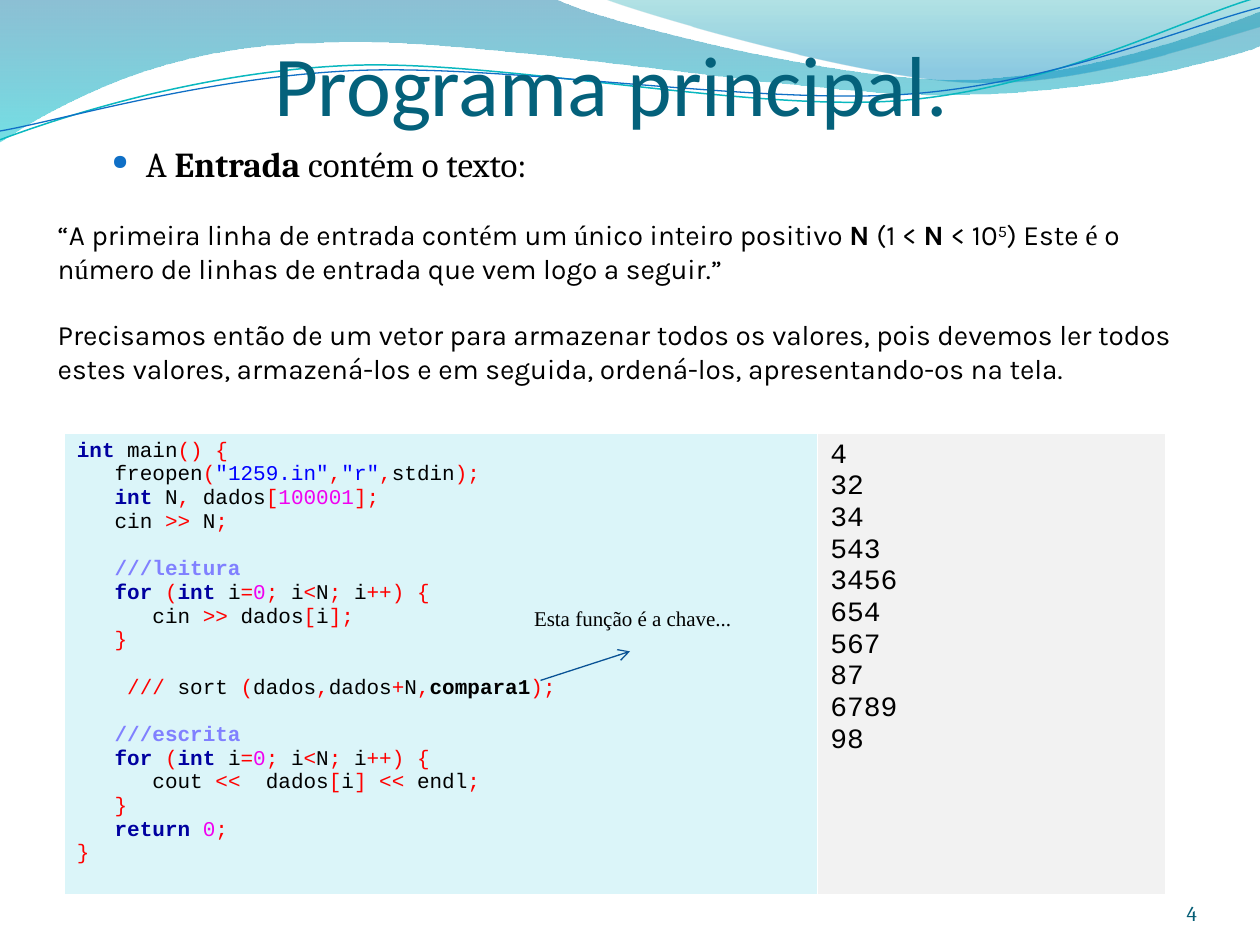
from lxml import etree
from pptx import Presentation
from pptx import util as u
from pptx.dml.color import RGBColor
from pptx.enum import shapes, text
from pptx.oxml import ns

COLORS = {
    "title": "04617B", "number": "045D75", "bullet": "0F6FC6", "arrow": "095295",
    "teal": "0AB8BF", "blue": "0F6FC6", "black": "000000",
    "code_fill": "DBF5F9", "input_fill": "F2F2F2",
}
TOKENS = {
    "keyword": ("0000A0", True), "plain": ("000000", False), "strong": ("000000", True),
    "sign": ("FF0000", False), "string": ("0000FF", False), "number": ("F000F0", False),
    "comment": ("8080FF", True),
}
K, P, B, S, Q, N, C = TOKENS

TOP_WAVE = [(0, -0.01), (4.4, -0.01),
            (4.76, 0.17, 6.64, 0.63, 7.58, 0.63), (8.53, 0.63, 9.58, 0.26, 10, 0.09),
            (10.01, 0.36), (9.83, 0.44, 8.7, 0.76, 7.46, 0.75),
            (6.22, 0.75, 3.82, 0.28, 2.57, 0.34), (1.29, 0.35, 0.46, 0.83, -0.01, 1.13)]
RIGHT_WAVE = [(4.79, -0.01), (5.09, 0.11, 6.82, 0.62, 7.69, 0.65),
              (8.56, 0.69, 9.61, 0.32, 10, 0.21), (10, 0)]
TEAL_CURVE = [(0, 1.11), (0.48, 0.93, 1.58, 0.57, 2.77, 0.52),
              (3.95, 0.47, 5.93, 0.89, 7.13, 0.8), (8.33, 0.71, 9.38, 0.15, 9.98, -0.02)]
BLUE_CURVE = [(0, 1.04), (0.47, 0.96, 1.64, 0.61, 2.83, 0.56),
              (4.03, 0.51, 5.97, 0.83, 7.17, 0.75), (8.36, 0.67, 9.41, 0.21, 10, 0.06)]

FOR_LINE = [(K, "for "), (S, "("), (K, "int "), (P, "i"), (S, "="), (N, "0"), (S, "; "),
            (P, "i"), (S, "<"), (P, "N"), (S, "; "), (P, "i"), (S, "++) {")]
CODE = [
    (0, 0, [(K, "int "), (P, "main"), (S, "() {")]),
    (3, 0, [(P, "freopen"), (S, "("), (Q, '"1259.in"'), (S, ","), (Q, '"r"'), (S, ","),
            (P, "stdin"), (S, ");")]),
    (3, 0, [(K, "int "), (P, "N"), (S, ", "), (P, "dados"), (S, "["), (N, "100001"), (S, "];")]),
    (3, 0, [(P, "cin "), (S, ">> "), (P, "N"), (S, ";")]),
    (3, 1, [(C, "///leitura")]),
    (3, 0, FOR_LINE),
    (6, 0, [(P, "cin "), (S, ">> "), (P, "dados"), (S, "["), (P, "i"), (S, "];")]),
    (3, 0, [(S, "}")]),
    (4, 1, [(S, "/// "), (P, "sort "), (S, "("), (P, "dados"), (S, ","), (P, "dados"),
            (S, "+"), (P, "N"), (S, ","), (B, "compara1"), (S, ");")]),
    (3, 1, [(C, "///escrita")]),
    (3, 0, FOR_LINE),
    (6, 0, [(P, "cout "), (S, "<<  "), (P, "dados"), (S, "["), (P, "i"), (S, "] << "),
            (P, "endl"), (S, ";")]),
    (3, 0, [(S, "}")]),
    (3, 0, [(K, "return "), (N, "0"), (S, ";")]),
    (0, 0, [(S, "}")]),
]
INPUT = "4\n32\n34\n543\n3456\n654\n567\n87\n6789\n98"


def set_values(target, values):
    for name, value in values.items():
        setattr(target, name, value)


def style_font(font, name, size, color, bold=False):
    set_values(font, {"name": name, "size": u.Pt(size), "bold": bold})
    font.color.rgb = RGBColor.from_string(color)


def add_run(paragraph, words, name, size, color, bold=False):
    run = paragraph.add_run()
    run.text = words
    style_font(run.font, name, size, color, bold)
    return run


def add_text(slide, box, margins=(0.1, 0.05, 0.1, 0.05), anchor=text.MSO_ANCHOR.TOP):
    frame = slide.shapes.add_textbox(*map(u.Inches, box)).text_frame
    sides = ("margin_left", "margin_top", "margin_right", "margin_bottom")
    set_values(frame, {"word_wrap": True, "vertical_anchor": anchor,
                       **dict(zip(sides, map(u.Inches, margins)))})
    return frame


def add_outline(slide, box, points, close):
    left, top = box[:2]
    vertices = [(u.Inches(left + x), u.Inches(top + y))
                for point in points for x, y in zip(point[::2], point[1::2])]
    builder = slide.shapes.build_freeform(*vertices[0])
    builder.add_line_segments(vertices[1:], close=close)
    shape = builder.convert_to_shape()
    shape.shadow.inherit = False
    segments = iter(list(shape._element.iter(ns.qn("a:lnTo"))))
    for point in points[1:]:
        first = next(segments)
        if len(point) == 6:
            first.addprevious(curve := etree.Element(ns.qn("a:cubicBezTo")))
            for segment in (first, next(segments), next(segments)):
                curve.append(segment[0])
                segment.getparent().remove(segment)
    return shape


def add_waves(slide, box):
    for points, stops in ((TOP_WAVE, [(0, "0074A1", 45), (1, "00C6CF", 55)]),
                          (RIGHT_WAVE, [(0, "00A1A9", 30), (0.8, "008BBF", 45)])):
        shape = add_outline(slide, box, points, True)
        shape.fill.gradient()
        shape.fill.gradient_angle = 270
        for stop, (position, color, _) in zip(shape.fill.gradient_stops, stops):
            stop.position = position
            stop.color.rgb = RGBColor.from_string(color)
        for element, (_, _, opacity) in zip(shape._element.spPr.iter(ns.qn("a:srgbClr")), stops):
            etree.SubElement(element, ns.qn("a:alpha"), val=str(opacity * 1000))
        shape.line.fill.background()
    for points, color, width in ((TEAL_CURVE, "teal", 0.85), (BLUE_CURVE, "blue", 0.75)):
        shape = add_outline(slide, box, points, False)
        shape.fill.background()
        shape.line.color.rgb = RGBColor.from_string(COLORS[color])
        shape.line.width = u.Pt(width)


def add_label(slide, box, words, name, size, color, alignment, margins, anchor):
    paragraph = add_text(slide, box, margins, anchor).paragraphs[0]
    paragraph.alignment = alignment
    add_run(paragraph, words, name, size, COLORS[color])


def add_body(slide, box):
    frame = add_text(slide, box)
    heading = frame.paragraphs[0]
    heading.space_before = u.Pt(4)
    properties = heading._p.get_or_add_pPr()
    for name, value in {"marL": 0.7, "indent": -0.27}.items():
        properties.set(name, str(u.Inches(value)))
    color = etree.SubElement(properties, ns.qn("a:buClr"))
    etree.SubElement(color, ns.qn("a:srgbClr"), val=COLORS["bullet"])
    etree.SubElement(properties, ns.qn("a:buSzPct"), val="60000")
    etree.SubElement(properties, ns.qn("a:buChar"), char="●")
    for words, bold in (("A ", False), ("Entrada ", True), ("contém o texto:", False)):
        add_run(heading, words, "Cambria", 20, COLORS["black"], bold)

    statement = [("“A primeira linha de entrada cont", ""), ("é", "serif"), ("m um ", ""),
                 ("ú", "serif"), ("nico inteiro positivo ", ""), ("N ", "bold"), ("(1 < ", ""),
                 ("N ", "bold"), ("< 10", ""), ("5", "raised"), (") Este ", ""), ("é", "serif"),
                 (" o n", ""), ("ú", "serif"),
                 ("mero de linhas de entrada que vem logo a seguir.”", "")]
    remark = [("Precisamos então de um vetor para armazenar todos os valores, pois devemos ler "
               "todos estes valores, armazená-los e em seguida, ordená-los, apresentando-os "
               "na tela.", "")]
    for pieces in (statement, remark):
        paragraph = frame.add_paragraph()
        paragraph.space_before = u.Pt(19)
        for words, kind in pieces:
            name = "Times New Roman" if kind == "serif" else "Karla"
            run = add_run(paragraph, words, name, 16, COLORS["black"], kind == "bold")
            if kind == "raised":
                run.font._element.set("baseline", "30000")


def add_listing(slide, box):
    table = slide.shapes.add_table(1, 2, *map(u.Inches, box)).table
    for column, width in zip(table.columns, (5.98, 2.76)):
        column.width = u.Inches(width)
    code, data = table.rows[0].cells
    for cell, color in ((code, "code_fill"), (data, "input_fill")):
        cell.fill.solid()
        cell.fill.fore_color.rgb = RGBColor.from_string(COLORS[color])
    for index, (indent, gap, pieces) in enumerate(CODE):
        frame = code.text_frame
        paragraph = frame.add_paragraph() if index else frame.paragraphs[0]
        paragraph.space_before = u.Pt(13.5 * gap)
        paragraph._p.get_or_add_pPr().set("marL", str(u.Inches(0.1 * indent)))
        for kind, words in pieces:
            add_run(paragraph, words, "Courier New", 12, *TOKENS[kind])
    paragraph = data.text_frame.paragraphs[0]
    paragraph.text = INPUT
    for run in paragraph.runs:
        style_font(run.font, "Courier New", 16, COLORS["black"])


def add_arrow(slide, start, end):
    arrow = slide.shapes.add_connector(shapes.MSO_CONNECTOR.STRAIGHT,
                                       *map(u.Inches, (*start, *end)))
    arrow.line.color.rgb = RGBColor.from_string(COLORS["arrow"])
    arrow.line.width = u.Pt(0.75)
    etree.SubElement(arrow.line._get_or_add_ln(), ns.qn("a:tailEnd"), type="arrow")
    etree.SubElement(arrow._element.spPr, ns.qn("a:effectLst"))


def main():
    presentation = Presentation()
    set_values(presentation, {"slide_width": u.Inches(10), "slide_height": u.Inches(7.5)})
    slide = presentation.slides.add_slide(presentation.slide_layouts[6])
    align, anchor = text.PP_ALIGN, text.MSO_ANCHOR
    add_waves(slide, (0, 0, 10, 1.14))
    add_label(slide, (0.35, 0.29, 9, 0.77), "Programa principal.", "Calibri", 48.6, "title",
              align.CENTER, (0, 0.05, 0, 0), anchor.BOTTOM)
    add_label(slide, (8.67, 6.95, 0.83, 0.4), "4", "Cambria", 12, "number",
              align.RIGHT, (0, 0, 0, 0), anchor.BOTTOM)
    add_body(slide, (0.36, 1.08, 9.06, 2.13))
    add_listing(slide, (0.51, 3.44, 8.74, 3.45))
    add_arrow(slide, (4.29, 5.4), (5, 5.17))
    add_label(slide, (4.14, 4.76, 2.13, 0.3), "Esta função é a chave...", "Times New Roman", 12,
              "black", align.LEFT, (0.1, 0.05, 0.1, 0.05), anchor.TOP)
    presentation.save("out.pptx")


if __name__ == "__main__":
    main()
